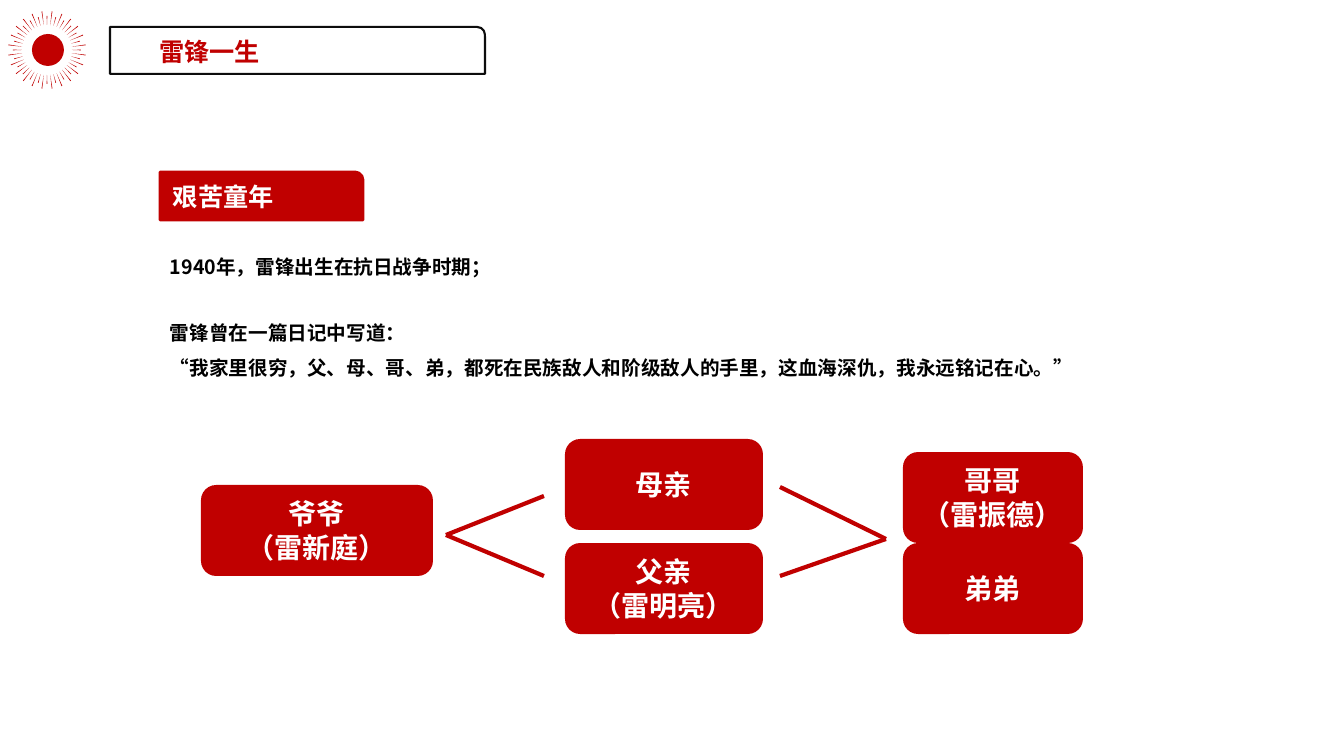
import math
from dataclasses import dataclass

import lxml.etree
import pptx
import pptx.dml.color
import pptx.enum.lang
import pptx.enum.shapes
import pptx.enum.text
import pptx.oxml.ns
import pptx.util

SHAPE = pptx.enum.shapes.MSO_SHAPE
ALIGN = pptx.enum.text.PP_ALIGN
ANCHOR = pptx.enum.text.MSO_ANCHOR


@dataclass
class Theme:
    font: str = "Noto Sans CJK SC"
    red: str = "C00000"
    white: str = "FFFFFF"
    black: str = "000000"
    frame: str = "0D0D0D"
    heading: int = 18
    body: int = 14
    node: int = 20


def px(n):
    return pptx.util.Emu(round(n * 914400 / 100.8))


def rgb(color):
    return pptx.dml.color.RGBColor.from_string(color)


def write(tf, text, font, size, color, align=ALIGN.LEFT, anchor=ANCHOR.TOP, spacing=1.0):
    tf.word_wrap = True
    tf.auto_size = pptx.enum.text.MSO_AUTO_SIZE.NONE
    tf.vertical_anchor = anchor
    tf.text = text
    for p in tf.paragraphs:
        p.alignment = align
        p.line_spacing = spacing
        for r in p.runs:
            r.font.name = font
            r.font.size = pptx.util.Pt(size)
            r.font.bold = True
            r.font.color.rgb = rgb(color)
            r.font.language_id = pptx.enum.lang.MSO_LANGUAGE_ID.SIMPLIFIED_CHINESE
            ea = lxml.etree.SubElement(r._r.get_or_add_rPr(), pptx.oxml.ns.qn("a:ea"))
            ea.set("typeface", font)


class Slide:
    """Draws themed elements on one slide, with lengths in px."""

    def __init__(self, s, theme):
        self.s = s
        self.theme = theme

    def title(self, text, x, y, w, h):
        sp = self.s.shapes.title
        sp.left, sp.top, sp.width, sp.height = map(px, (x, y, w, h))
        write(sp.text_frame, text, self.theme.font, self.theme.heading, self.theme.red,
              align=ALIGN.JUSTIFY)

    def text(self, text, x, y, w, h, **fmt):
        sp = self.s.shapes.add_textbox(*map(px, (x, y, w, h)))
        write(sp.text_frame, text, self.theme.font, **fmt)

    def paint(self, sp, fill=None, line=None, width=1):
        sp.shadow.inherit = False
        if fill:
            sp.fill.solid()
            sp.fill.fore_color.rgb = rgb(fill)
        else:
            sp.fill.background()
        if line:
            sp.line.color.rgb = rgb(line)
            sp.line.width = pptx.util.Pt(width)
        else:
            sp.line.fill.background()

    def shape(self, kind, x, y, w, h, **style):
        sp = self.s.shapes.add_shape(kind, *map(px, (x, y, w, h)))
        self.paint(sp, **style)
        return sp

    def node(self, text, x, y, w, h=91):
        sp = self.shape(SHAPE.ROUNDED_RECTANGLE, x, y, w, h, fill=self.theme.red)
        write(sp.text_frame, text, self.theme.font, self.theme.node, self.theme.white,
              align=ALIGN.CENTER, anchor=ANCHOR.MIDDLE)

    def line(self, x1, y1, x2, y2):
        c = self.s.shapes.add_connector(
            pptx.enum.shapes.MSO_CONNECTOR.STRAIGHT, *map(px, (x1, y1, x2, y2)))
        c.line.color.rgb = rgb(self.theme.red)
        c.line.width = pptx.util.Pt(3)
        lxml.etree.SubElement(c._element.spPr, pptx.oxml.ns.qn("a:effectLst"))

    def sunburst(self, cx, cy, inner, outers, count):
        def point(radius, angle):
            return px(cx + radius * math.cos(angle)), px(cy + radius * math.sin(angle))

        builder = None
        for i in range(count):
            angle = 2 * math.pi * i / count
            outer = outers[i % len(outers)]
            start = point(inner, angle)
            if builder is None:
                builder = self.s.shapes.build_freeform(*start)
            else:
                builder.move_to(*start)
            builder.add_line_segments([point(outer, angle - 0.01), point(outer, angle + 0.01)])
        self.paint(builder.convert_to_shape(), fill=self.theme.red)


def main():
    prs = pptx.Presentation()
    prs.slide_width, prs.slide_height = px(1344), px(756)
    theme = Theme()
    slide = Slide(prs.slides.add_slide(prs.slide_layouts[5]), theme)

    slide.sunburst(47, 50, 25, (34, 39), 48)
    slide.shape(SHAPE.OVAL, 32, 34, 32, 32, fill=theme.red)
    slide.shape(SHAPE.ROUND_1_RECTANGLE, 110, 27, 375, 47, line=theme.frame, width=1.5)
    slide.title("雷锋一生", 149, 31, 278, 40)

    slide.shape(SHAPE.ROUND_1_RECTANGLE, 160, 172, 203, 48, fill=theme.red,
                line=theme.red, width=2)
    slide.text("艰苦童年", 163, 176, 195, 40, size=theme.heading, color=theme.white,
               align=ALIGN.JUSTIFY)
    slide.text("1940年，雷锋出生在抗日战争时期；", 160, 250, 504, 34,
               size=theme.body, color=theme.black)
    slide.text("雷锋曾在一篇日记中写道：\n"
               "“我家里很穷，父、母、哥、弟，都死在民族敌人和阶级敌人的手里，这血海深仇，我永远铭记在心。”",
               160, 304, 999, 78, size=theme.body, color=theme.black, spacing=1.5)

    for text, x, y, w in (
        ("爷爷\v（雷新庭）", 201, 485, 232),
        ("母亲", 565, 439, 198),
        ("父亲\v（雷明亮）", 565, 543, 198),
        ("哥哥\v（雷振德）", 903, 452, 180),
        ("弟弟", 903, 543, 180),
    ):
        slide.node(text, x, y, w)

    for tip_x, tip_y, end_x, ends in (
        (446, 535, 544, (496, 576)),
        (886, 539, 780, (487, 576)),
    ):
        for end_y in ends:
            slide.line(tip_x, tip_y, end_x, end_y)

    prs.save("out.pptx")


if __name__ == "__main__":
    main()
